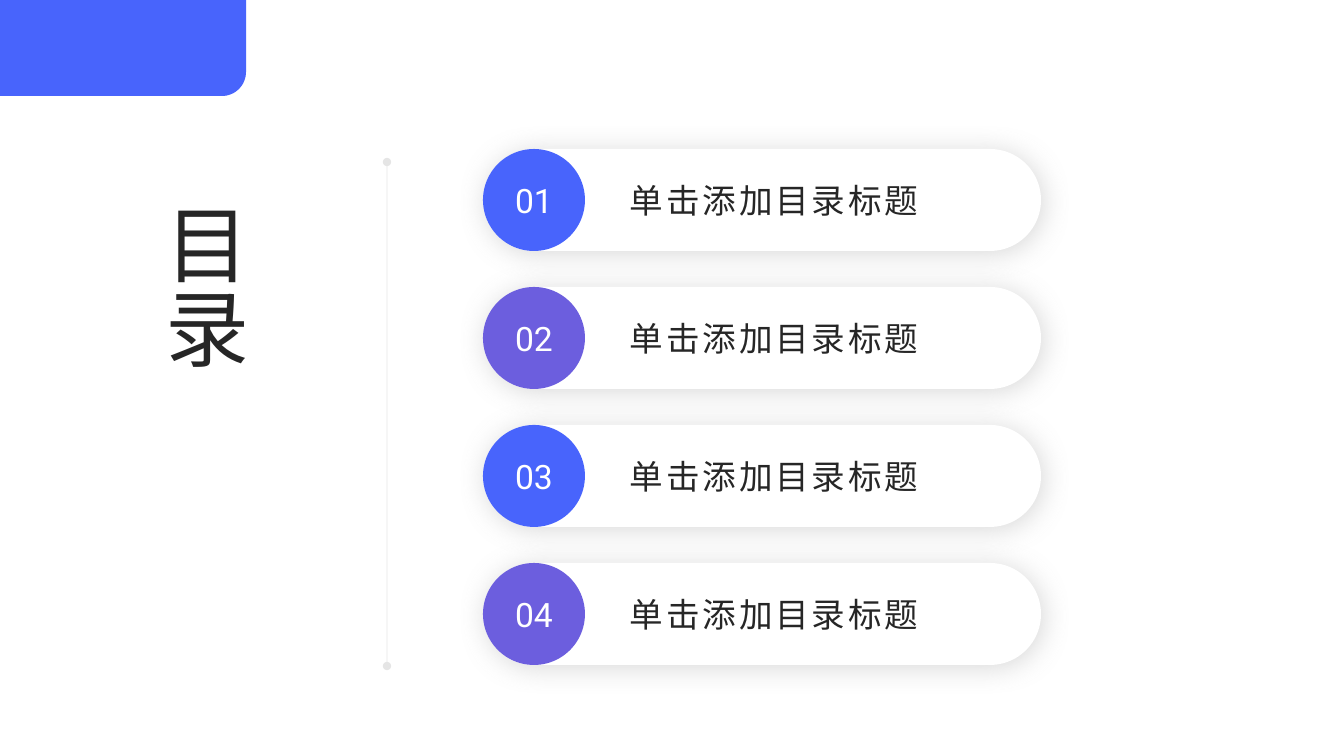
"""Build a contents slide with a vertical title and four numbered pills."""
from math import cos, pi, sin

from lxml.etree import SubElement
from pptx import Presentation
from pptx.dml.color import RGBColor
from pptx.enum.shapes import MSO_CONNECTOR, MSO_SHAPE
from pptx.enum.text import MSO_ANCHOR, PP_ALIGN
from pptx.oxml import parse_xml
from pptx.oxml.ns import nsdecls, qn
from pptx.util import Pt

PX = 914400 / 100.8
COLORS = {"blue": "4864FC", "violet": "6C5EDE", "white": "FFFFFF", "ink": "262626", "gray": "808080"}
ENTRIES = [
    ("01", "单击添加目录标题", "blue"),
    ("02", "单击添加目录标题", "violet"),
    ("03", "单击添加目录标题", "blue"),
    ("04", "单击添加目录标题", "violet"),
]


def paint(sp, color):
    sp.shadow.inherit = False
    sp.fill.solid()
    sp.fill.fore_color.rgb = RGBColor.from_string(COLORS[color])
    sp.line.fill.background()


def write(tf, text, size, color, align, inset=0):
    tf.word_wrap = True
    tf.vertical_anchor = MSO_ANCHOR.MIDDLE
    tf.margin_left = tf.margin_right = round(inset * PX)
    tf.margin_top = tf.margin_bottom = 0
    p = tf.paragraphs[0]
    p.alignment = align
    r = p.add_run()
    r.text = text
    r.font.name = "Roboto"
    r.font.size = Pt(size)
    r.font.color.rgb = RGBColor.from_string(COLORS[color])
    return r


prs = Presentation()
prs.slide_width, prs.slide_height = round(1344 * PX), round(756 * PX)
s = prs.slides.add_slide(prs.slide_layouts[5])

x, top, bottom = (round(v * PX) for v in (387, 162, 666))
divider = s.shapes.add_connector(MSO_CONNECTOR.STRAIGHT, x, top, x, bottom)
divider.line.width = Pt(0.5)
divider.line.color.rgb = RGBColor.from_string(COLORS["gray"])
ln = divider.line._ln
SubElement(ln.find(".//" + qn("a:srgbClr")), qn("a:alpha"), val="20000")
for end in ("a:headEnd", "a:tailEnd"):
    SubElement(ln, qn(end), type="oval")
SubElement(divider._element.spPr, qn("a:effectLst"))

radius, steps = 24, 16
arc = [
    (246 - radius + radius * cos(i * pi / 2 / steps), 96 - radius + radius * sin(i * pi / 2 / steps))
    for i in range(steps + 1)
]
outline = s.shapes.build_freeform(round(-2 * PX), 0, scale=1.0)
outline.add_line_segments([(round(px * PX), round(py * PX)) for px, py in [(246, 0), *arc, (-2, 96)]])
paint(outline.convert_to_shape(), "blue")

title = s.shapes.title
title.left, title.top, title.width, title.height = (round(v * PX) for v in (129, 198, 151, 397))
write(title.text_frame, "目录", 60, "ink", PP_ALIGN.LEFT, 5)
title.text_frame.margin_top = round(5 * PX)
title.text_frame._txBody.bodyPr.set("vert", "eaVert")
s.shapes._spTree.append(title._element)

for i, (number, label, color) in enumerate(ENTRIES):
    left, top, width, size, label_left, label_width = (
        round(v * PX) for v in (483, 149 + 138 * i, 558, 102, 620, 422)
    )
    pill = s.shapes.add_shape(MSO_SHAPE.ROUNDED_RECTANGLE, left, top, width, size)
    pill.adjustments[0] = 0.5
    paint(pill, "white")
    pill._element.spPr.find(qn("a:effectLst")).append(parse_xml(
        f'<a:outerShdw {nsdecls("a")} blurRad="{Pt(20)}" dist="{Pt(3)}" dir="2700000" algn="tl" rotWithShape="0">'
        f'<a:srgbClr val="{COLORS["gray"]}"><a:alpha val="30000"/></a:srgbClr></a:outerShdw>'
    ))

    badge = s.shapes.add_shape(MSO_SHAPE.OVAL, left, top, size, size)
    paint(badge, color)
    write(badge.text_frame, number, 24, "white", PP_ALIGN.CENTER)

    box = s.shapes.add_textbox(label_left, top, label_width, size)
    r = write(box.text_frame, label, 24, "ink", PP_ALIGN.LEFT, 10)
    r.font._element.set("spc", "200")

prs.save("out.pptx")
